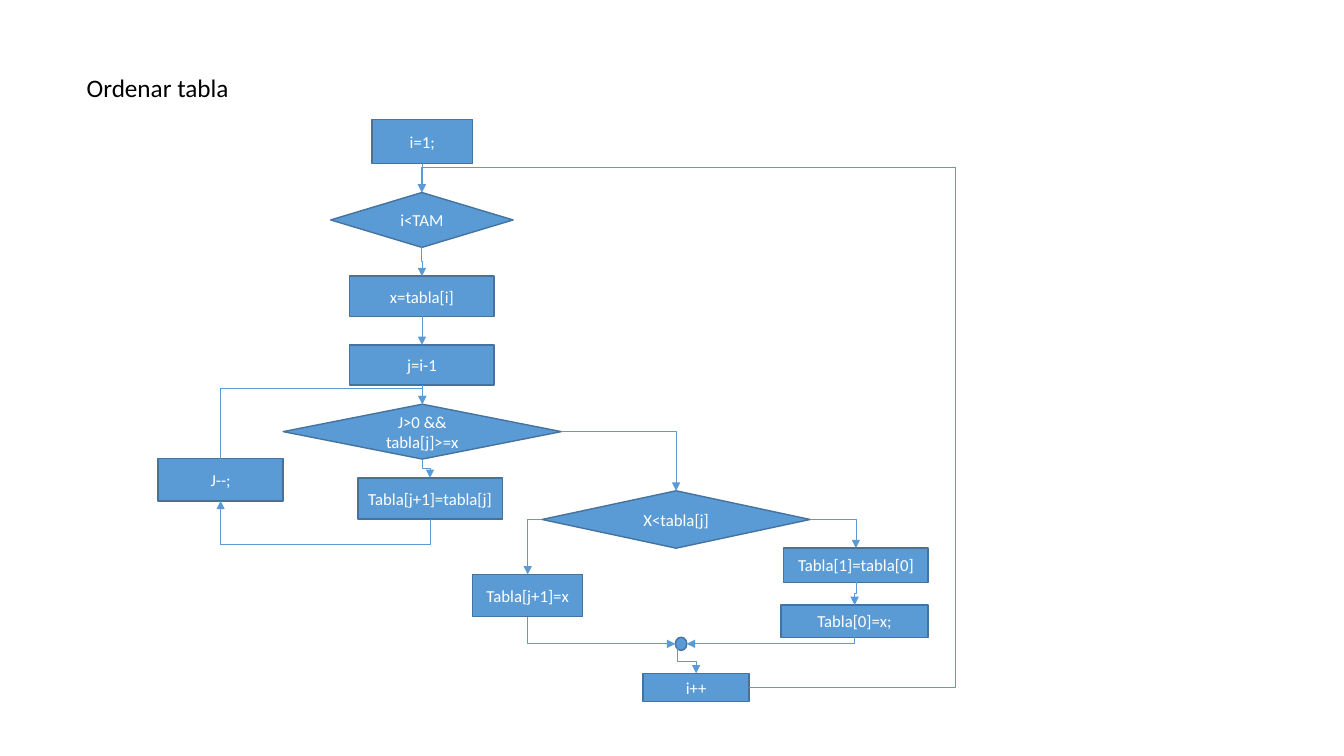
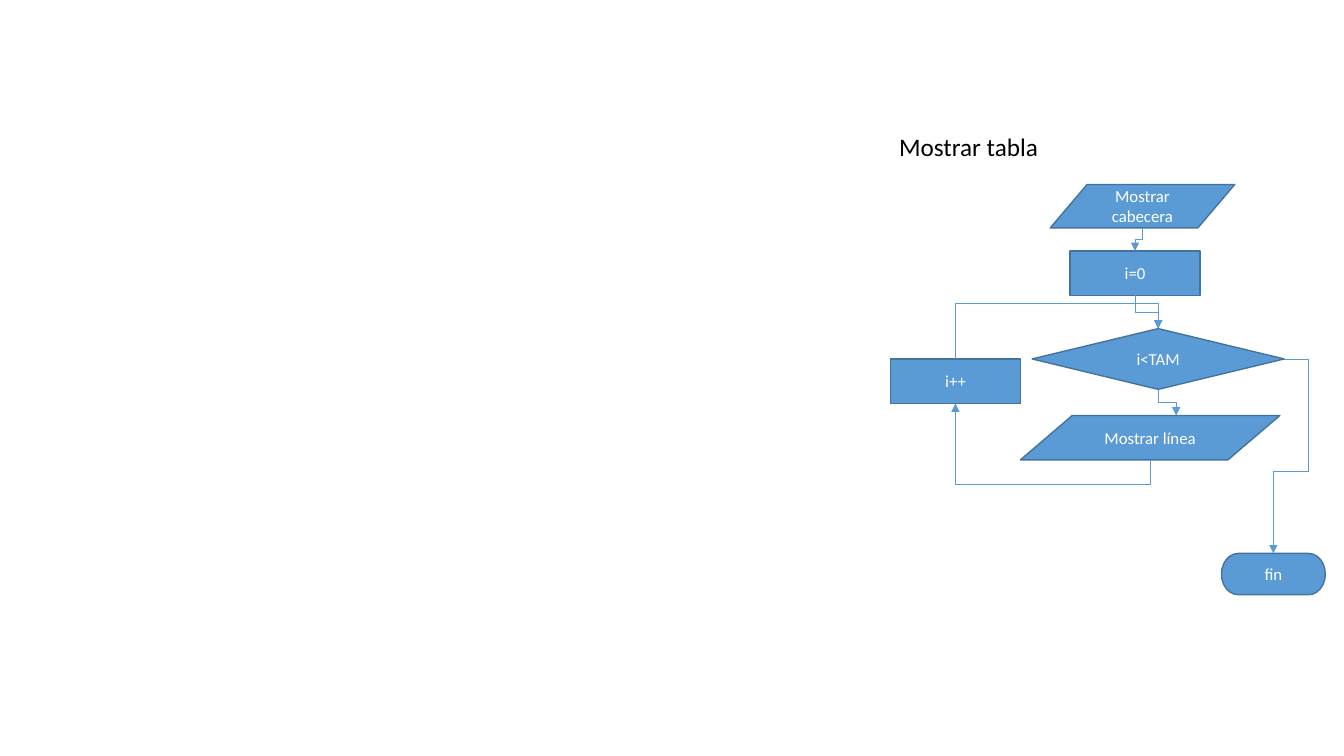
"""Two flowchart slides: sorting a table and showing it."""
import pptx
import pptx.util
import pptx.dml.color
import pptx.enum.shapes
import pptx.enum.text
import pptx.oxml.ns
from lxml import etree

Pt = pptx.util.Pt
RGB = pptx.dml.color.RGBColor.from_string
qn = pptx.oxml.ns.qn
MSO = pptx.enum.shapes.MSO_SHAPE
PP = pptx.enum.text.PP_ALIGN
ANCHOR = pptx.enum.text.MSO_ANCHOR

COLORS = {"fill": "5B9BD5", "edge": "43739E", "text": "FFFFFF", "title": "000000"}
FONT = "Calibri"

KINDS = {
    "step": MSO.RECTANGLE,
    "test": MSO.FLOWCHART_DECISION,
    "output": MSO.FLOWCHART_DATA,
    "join": MSO.FLOWCHART_CONNECTOR,
    "end": MSO.FLOWCHART_TERMINATOR,
}

BOX_SITES = {"top": (0, 0.5, 0), "left": (1, 0, 0.5), "bottom": (2, 0.5, 1), "right": (3, 1, 0.5)}
SITES = {kind: BOX_SITES for kind in KINDS}
SITES["output"] = {"top": (0, 0.6, 0), "bottom": (4, 0.5, 1)}
SITES["join"] = {"left": (2, 0, 0.5), "bottom": (3, 0.15, 0.85), "right": (6, 1, 0.5)}

SLIDES = [
    {
        "title": ("Ordenar tabla", 54.7, 48.2, 117.4),
        "nodes": {
            "start": ("step", "i=1;", 265.7, 85.5, 72, 31.5),
            "outer": ("test", "i<TAM", 236.2, 137.5, 130.3, 39.2),
            "take": ("step", "x=tabla[i]", 249.8, 197.3, 103.2, 28.8),
            "back": ("step", "j=i-1", 249.8, 246.4, 103.2, 28.6),
            "inner": ("test", "J>0 && tabla[j]>=x", 202.3, 288.7, 198.7, 39.2),
            "shift": ("step", "Tabla[j+1]=tabla[j]", 255.6, 341.3, 103.2, 29.5),
            "lower": ("step", "J--;", 113, 327.6, 89.3, 30.2),
            "compare": ("test", "X<tabla[j]", 387.2, 350.6, 191.5, 41),
            "second": ("step", "Tabla[1]=tabla[0]", 559.8, 391.5, 103.2, 24.5),
            "first": ("step", "Tabla[0]=x;", 557.9, 432.2, 105.1, 23),
            "place": ("step", "Tabla[j+1]=x", 337.7, 410.4, 78.5, 30.2),
            "next": ("step", "i++", 459.4, 481, 75.6, 20.2),
            "join": ("join", "", 482.4, 455.2, 8.2, 9.4),
        },
        "links": [
            ("start", "bottom", "outer", "top"),
            ("outer", "bottom", "take", "top"),
            ("take", "bottom", "back", "top"),
            ("back", "bottom", "inner", "top"),
            ("inner", "bottom", "shift", "top"),
            ("shift", "bottom", "lower", "bottom", -1.41),
            ("lower", "top", "inner", "top", 1.29),
            ("inner", "right", "compare", "top"),
            ("compare", "left", "place", "top"),
            ("compare", "right", "second", "top"),
            ("second", "bottom", "first", "top"),
            ("place", "bottom", "join", "left"),
            ("first", "bottom", "join", "right"),
            ("join", "bottom", "next", "top"),
            ("next", "right", "outer", "top", -0.63, 1.05),
        ],
    },
    {
        "title": ("Mostrar tabla", 635, 90, 114.5),
        "nodes": {
            "header": ("output", "Mostrar cabecera", 750.2, 131.8, 131.8, 31),
            "start": ("step", "i=0", 764.3, 179.3, 92.9, 31.7),
            "loop": ("test", "i<TAM", 737.3, 234.7, 180, 43.4),
            "line": ("output", "Mostrar línea", 728.9, 296.8, 185.3, 31.7),
            "next": ("step", "i++", 636.1, 256.5, 92.9, 31.7),
            "end": ("end", "fin", 872.5, 395.3, 74.2, 29.5),
        },
        "links": [
            ("header", "bottom", "start", "top"),
            ("start", "bottom", "loop", "top"),
            ("loop", "bottom", "line", "top"),
            ("line", "bottom", "next", "bottom", -0.44),
            ("next", "top", "loop", "top", 1.83),
            ("loop", "right", "end", "top", -2.29, 0.58),
        ],
    },
]


def add_node(s, kind, text, x, y, w, h):
    sp = s.shapes.add_shape(KINDS[kind], Pt(x), Pt(y), Pt(w), Pt(h))
    sp.shadow.inherit = False
    sp.fill.solid()
    sp.fill.fore_color.rgb = RGB(COLORS["fill"])
    sp.line.color.rgb = RGB(COLORS["edge"])
    sp.line.width = Pt(1)
    if text:
        tf = sp.text_frame
        tf.text = text
        tf.word_wrap = True
        tf.vertical_anchor = ANCHOR.MIDDLE
        p = tf.paragraphs[0]
        p.alignment = PP.CENTER
        f = p.runs[0].font
        f.name, f.size, f.color.rgb = FONT, Pt(12), RGB(COLORS["text"])
    return sp


def add_link(s, nodes, shapes, source, out, target, into, *bends):
    ends = []
    for name, side in ((source, out), (target, into)):
        kind, _, x, y, w, h = nodes[name]
        site, fx, fy = SITES[kind][side]
        ends.append((shapes[name].shape_id, site, x + fx * w, y + fy * h))
    x1, y1, x2, y2 = *ends[0][2:], *ends[1][2:]
    dx, dy = x2 - x1, y2 - y1
    vertical = out in ("top", "bottom")
    turn, flip_h, flip_v = 0, dx < 0, dy < 0
    w, h = abs(dx), abs(dy)
    if vertical:
        turn = 270 if dx > 0 and dy > 0 else 90
        flip_h, flip_v = dy < 0 or turn == 270, dx > 0 and dy < 0
        w, h = h, w
    c = s.shapes.add_connector(pptx.enum.shapes.MSO_CONNECTOR.ELBOW, 0, 0, 0, 0)
    c.left, c.top = Pt((x1 + x2 - w) / 2), Pt((y1 + y2 - h) / 2)
    c.width, c.height = Pt(w), Pt(h)
    c.line.color.rgb = RGB(COLORS["fill"])
    c.line.width = Pt(0.5)

    props = c._element.spPr
    xfrm = props.find(qn("a:xfrm"))
    xfrm.set("rot", str(turn * 60000))
    xfrm.set("flipH", str(int(flip_h)))
    xfrm.set("flipV", str(int(flip_v)))
    geom = props.find(qn("a:prstGeom"))
    straight_on = vertical == (into in ("top", "bottom"))
    geom.set("prst", f"bentConnector{3 if straight_on else 4 if bends else 2}")
    for i, bend in enumerate(bends, 1):
        etree.SubElement(geom.find(qn("a:avLst")), qn("a:gd"),
                         name=f"adj{i}", fmla=f"val {round(bend * 100000)}")
    etree.SubElement(props.find(qn("a:ln")), qn("a:tailEnd"), type="triangle")
    etree.SubElement(props, qn("a:effectLst"))
    glue = c._element.find(".//" + qn("p:cNvCxnSpPr"))
    for tag, (shape_id, site, _, _) in zip(("a:stCxn", "a:endCxn"), ends):
        etree.SubElement(glue, qn(tag), id=str(shape_id), idx=str(site))


prs = pptx.Presentation()
prs.slide_width, prs.slide_height = Pt(960), Pt(540)

for page in SLIDES:
    s = prs.slides.add_slide(prs.slide_layouts[5])
    text, x, y, w = page["title"]
    title = s.shapes.title
    title.left, title.top, title.width, title.height = Pt(x), Pt(y), Pt(w), Pt(29)
    tf = title.text_frame
    tf.text = text
    tf.word_wrap = False
    tf.auto_size = pptx.enum.text.MSO_AUTO_SIZE.SHAPE_TO_FIT_TEXT
    tf.vertical_anchor = ANCHOR.TOP
    p = tf.paragraphs[0]
    p.alignment = PP.LEFT
    f = p.runs[0].font
    f.name, f.size, f.color.rgb = FONT, Pt(18), RGB(COLORS["title"])

    nodes = page["nodes"]
    shapes = {name: add_node(s, *node) for name, node in nodes.items()}
    for link in page["links"]:
        add_link(s, nodes, shapes, *link)

prs.save("out.pptx")
